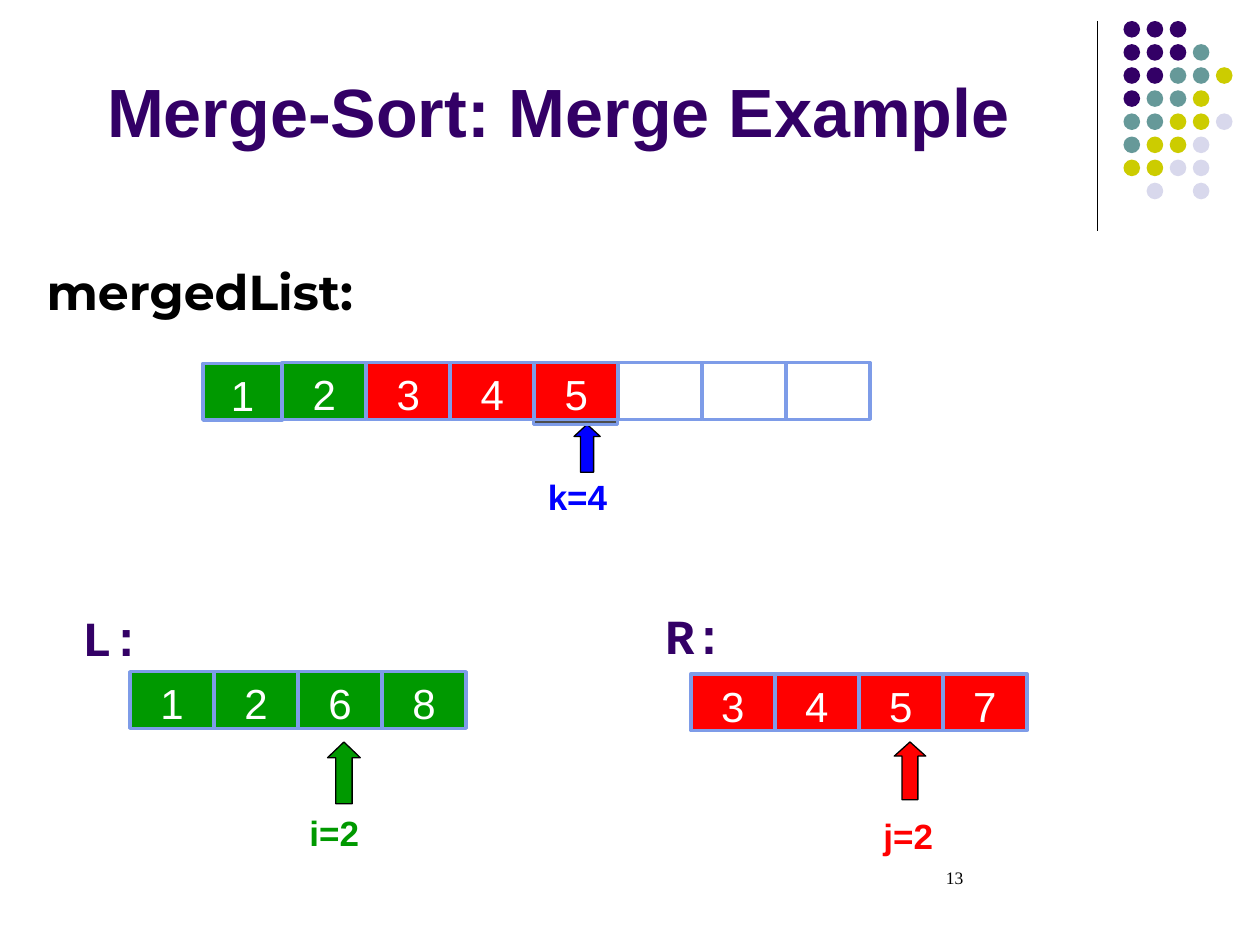
from dataclasses import dataclass
from typing import Optional

from lxml.etree import SubElement
from pptx import Presentation
from pptx.dml.color import RGBColor
from pptx.enum.shapes import MSO_CONNECTOR, MSO_SHAPE
from pptx.enum.text import MSO_ANCHOR, MSO_AUTO_SIZE, PP_ALIGN
from pptx.oxml.ns import qn
from pptx.util import Pt


@dataclass(frozen=True)
class Theme:
    purple: RGBColor = RGBColor(0x33, 0x00, 0x66)
    teal: RGBColor = RGBColor(0x66, 0x99, 0x99)
    olive: RGBColor = RGBColor(0xCC, 0xCC, 0x00)
    lavender: RGBColor = RGBColor(0xD8, 0xD8, 0xEC)
    green: RGBColor = RGBColor(0x00, 0x99, 0x00)
    red: RGBColor = RGBColor(0xFF, 0x00, 0x00)
    blue: RGBColor = RGBColor(0x00, 0x00, 0xFF)
    gray: RGBColor = RGBColor(0x4D, 0x4D, 0x4D)
    border: RGBColor = RGBColor(0x7E, 0x9C, 0xE8)
    white: RGBColor = RGBColor(0xFF, 0xFF, 0xFF)
    black: RGBColor = RGBColor(0x00, 0x00, 0x00)
    title_size: float = 39
    label_size: float = 28
    cell_size: float = 24
    index_size: float = 20
    number_size: float = 10
    sans: str = "Arial"
    mono: str = "Courier New"
    display: str = "Montserrat"
    serif: str = "Times New Roman"


THEME = Theme()


@dataclass(frozen=True)
class Box:
    left: float
    top: float
    width: float
    height: float

    def lengths(self):
        return Pt(self.left), Pt(self.top), Pt(self.width), Pt(self.height)


@dataclass(frozen=True)
class Style:
    size: float
    font: str
    color: RGBColor
    bold: bool = False
    align: PP_ALIGN = PP_ALIGN.LEFT
    anchor: MSO_ANCHOR = MSO_ANCHOR.BOTTOM
    side: float = 7.2
    bottom: float = 3.6


@dataclass(frozen=True)
class Label:
    text: str
    box: Box
    style: Style


@dataclass(frozen=True)
class Pointer:
    box: Box
    head: float
    color: RGBColor


@dataclass(frozen=True)
class Cell:
    value: str
    box: Box
    color: RGBColor


CELL_STYLE = Style(THEME.cell_size, THEME.sans, THEME.white,
                   align=PP_ALIGN.CENTER, bottom=0)
CELL_WIDTH = 48
CELL_HEIGHT = 32.4


def index_style(color: RGBColor, side: float = 7.2) -> Style:
    return Style(THEME.index_size, THEME.sans, color, True, PP_ALIGN.CENTER, side=side)


def write(frame, text: str, style: Style) -> None:
    frame.word_wrap = True
    frame.auto_size = MSO_AUTO_SIZE.NONE
    frame.vertical_anchor = style.anchor
    frame.margin_left = frame.margin_right = Pt(style.side)
    frame.margin_top = Pt(3.6)
    frame.margin_bottom = Pt(style.bottom)
    paragraph = frame.paragraphs[0]
    paragraph.alignment = style.align
    run = paragraph.add_run()
    run.text = text
    run.font.size = Pt(style.size)
    run.font.name = style.font
    run.font.bold = style.bold
    run.font.color.rgb = style.color


def draw_shape(slide, kind: MSO_SHAPE, box: Box, fill: RGBColor,
               line: Optional[RGBColor] = None, line_width: float = 0.75):
    shape = slide.shapes.add_shape(kind, *box.lengths())
    shape.shadow.inherit = False
    shape.fill.solid()
    shape.fill.fore_color.rgb = fill
    if line is None:
        shape.line.fill.background()
    else:
        shape.line.color.rgb = line
        shape.line.width = Pt(line_width)
    return shape


def draw_cell(slide, cell: Cell) -> None:
    square = draw_shape(slide, MSO_SHAPE.RECTANGLE, cell.box, cell.color, THEME.border, 2)
    if cell.value:
        write(square.text_frame, cell.value, CELL_STYLE)


def row_cells(values: list[str], colors: list[RGBColor], left: float, top: float) -> list[Cell]:
    return [Cell(value, Box(left + i * CELL_WIDTH, top, CELL_WIDTH, CELL_HEIGHT), color)
            for i, (value, color) in enumerate(zip(values, colors))]


def draw_label(slide, label: Label) -> None:
    textbox = slide.shapes.add_textbox(*label.box.lengths())
    write(textbox.text_frame, label.text, label.style)


def draw_pointer(slide, pointer: Pointer) -> None:
    arrow = draw_shape(slide, MSO_SHAPE.UP_ARROW, pointer.box, pointer.color, THEME.black)
    arrow.adjustments[0] = 0.5
    arrow.adjustments[1] = pointer.head


def draw_ornament(slide) -> None:
    divider = slide.shapes.add_connector(
        MSO_CONNECTOR.STRAIGHT, Pt(627), Pt(12), Pt(627), Pt(132))
    divider.line.color.rgb = THEME.black
    divider.line.width = Pt(0.75)
    SubElement(divider.element.spPr, qn("a:effectLst"))
    dot_colors = {"P": THEME.purple, "T": THEME.teal, "O": THEME.olive, "L": THEME.lavender}
    dot_rows = ["PPP", "PPPT", "PPTTO", "PTTO", "TTOOL", "TOOL", "OOLL", ".L.L"]
    pitch, diameter = 13.2, 9.5
    for row, codes in enumerate(dot_rows):
        for column, code in enumerate(codes):
            if code in dot_colors:
                box = Box(642 + column * pitch, 12 + row * pitch, diameter, diameter)
                draw_shape(slide, MSO_SHAPE.OVAL, box, dot_colors[code])


def main() -> None:
    presentation = Presentation()
    presentation.slide_width, presentation.slide_height = Pt(720), Pt(540)
    slide = presentation.slides.add_slide(presentation.slide_layouts[5])
    title = slide.shapes.title
    title.left, title.top, title.width, title.height = Box(54, 0, 612, 90).lengths()
    write(title.text_frame, "Merge-Sort: Merge Example",
          Style(THEME.title_size, THEME.sans, THEME.purple, True))
    draw_ornament(slide)

    merged_top = 207.2
    first = Cell("1", Box(116, merged_top + 0.4, 45.3, CELL_HEIGHT), THEME.green)
    merged = row_cells(["2", "3", "4", "5", "", "", ""],
                       [THEME.green] + [THEME.red] * 3 + [THEME.white] * 3,
                       161.3, merged_top)
    current = merged.pop(3)
    backing = Cell("", Box(304.8, 208.3, CELL_WIDTH, 34.3), THEME.gray)
    left_half = row_cells(["1", "2", "6", "8"], [THEME.green] * 4, 74.3, 383.8)
    right_half = row_cells(["3", "4", "5", "7"], [THEME.red] * 4, 394.8, 385)

    list_style = Style(THEME.label_size, THEME.display, THEME.black, True)
    half_style = Style(THEME.label_size, THEME.mono, THEME.purple, True, side=0)
    number_style = Style(THEME.number_size, THEME.serif, THEME.black,
                         anchor=MSO_ANCHOR.TOP, side=24.5)
    labels = [
        Label("mergedList:", Box(19.5, 145.5, 237, 41), list_style),
        Label("L:", Box(47, 343.5, 40, 41), half_style),
        Label("R:", Box(380, 342, 40, 41), half_style),
        Label("k=4", Box(301, 268, 58, 31.5), index_style(THEME.blue)),
        Label("i=2", Box(173.5, 460, 35, 31.5), index_style(THEME.green, 0)),
        Label("j=2", Box(492, 461.5, 54, 31.5), index_style(THEME.red)),
        Label("13", Box(516, 492, 168, 36), number_style),
    ]
    pointers = [
        Pointer(Box(328, 242.5, 15, 27.3), 0.46, THEME.blue),
        Pointer(Box(187.2, 424, 18.7, 35.3), 0.48, THEME.green),
        Pointer(Box(511, 424, 18, 33), 0.45, THEME.red),
    ]

    for label in labels:
        draw_label(slide, label)
    for pointer in pointers:
        draw_pointer(slide, pointer)
    for cell in [first, *merged, *left_half, *right_half, backing, current]:
        draw_cell(slide, cell)
    presentation.save("out.pptx")


if __name__ == "__main__":
    main()
